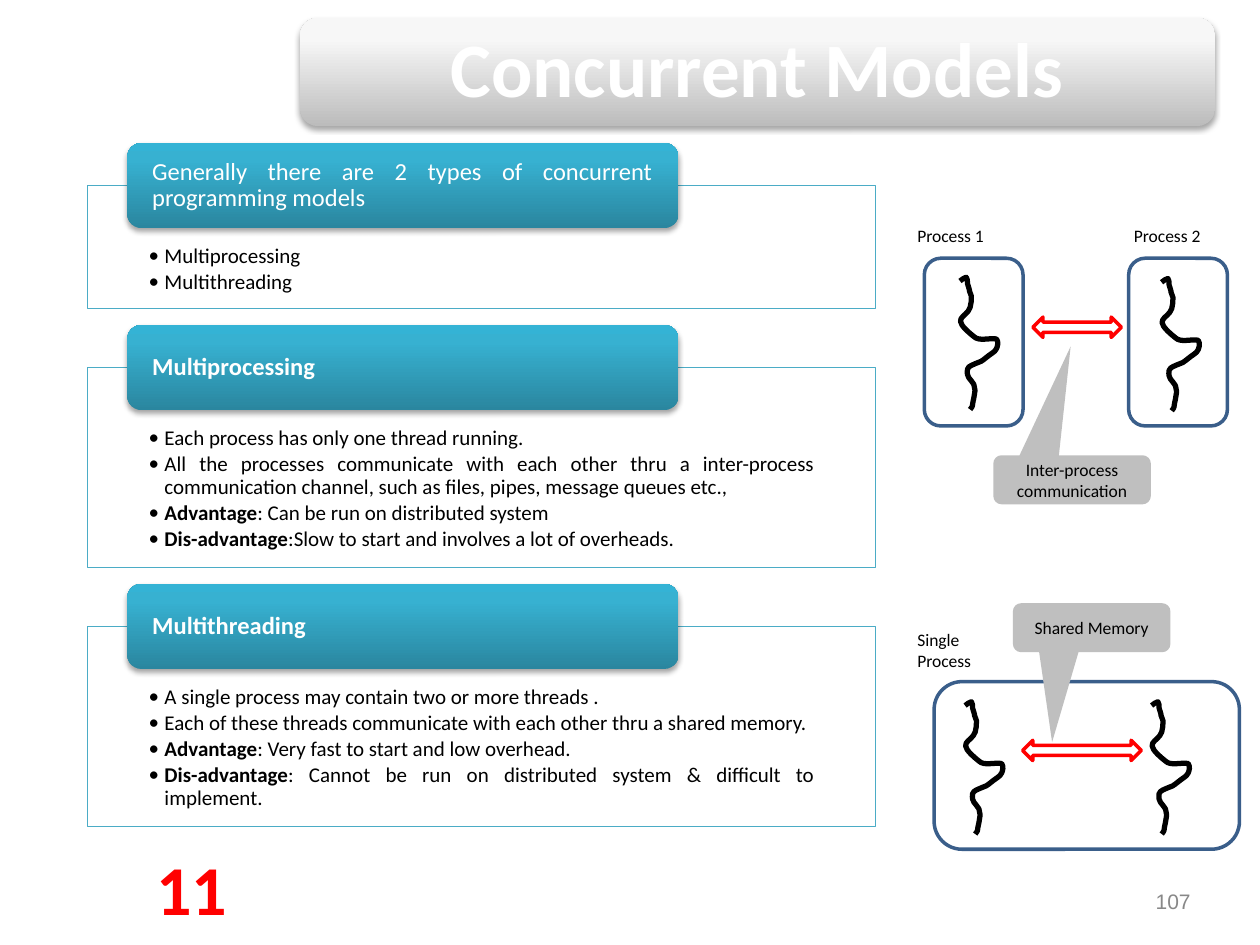
from copy import deepcopy
from dataclasses import dataclass

from lxml.etree import SubElement
from pptx import Presentation
from pptx.dml.color import RGBColor
from pptx.enum.shapes import MSO_SHAPE as Shape
from pptx.enum.text import MSO_ANCHOR as Anchor, PP_ALIGN as Align
from pptx.oxml.ns import qn
from pptx.util import Pt

TEAL = ("2A869F", "37B1D1", "34B3D5")
SILVER = ("BCBCBC", "F7F7F7", "F8F8F8")
STOPS = (0, 0.8, 1)
PANEL_GAP = 33.6
THREAD_CURVES = (
    (1.4, -0.7, 2.2, -2.2, 3.6, -2.2), (4.3, -1.4, 4.3, 0, 4.3, 1.4),
    (7.2, 10.8, 3.6, 0.7, 6.5, 8.6), (6.5, 10.8, 6.5, 13, 5.8, 15.1),
    (3.6, 21.6, -6.5, 20.2, 7.9, 31.7), (10.8, 34.6, 16.6, 32.4, 20.9, 33.1),
    (20.9, 33.8, 22.3, 35.3, 21.6, 36), (20.9, 40.3, 19.4, 40.3, 16.6, 42.5),
    (10.1, 47.5, 14.4, 44.6, 6.5, 48.2), (5.8, 49, 4.3, 49, 4.3, 50.4),
    (3.6, 55.4, 5.8, 55.4, 7.9, 59), (7.9, 59.8, 8.6, 61.2, 8.6, 62.6),
    (8.6, 64.1, 7.9, 65.5, 7.9, 67), (6.5, 72.7, 7.9, 70.6, 5.8, 73.4),
)


@dataclass
class Area:
    left: float
    top: float
    width: float
    height: float

    def lengths(self):
        return [Pt(v) for v in (self.left, self.top, self.width, self.height)]


@dataclass
class Style:
    size: float
    color: str = "000000"
    bold: bool = False
    align: Align = Align.LEFT
    spacing: float = 1.0
    font: str = "Calibri"


@dataclass
class Panel:
    heading: str
    bold: bool
    height: float
    bullets: list[tuple[str, str]]


def rgb(code: str) -> RGBColor:
    return RGBColor.from_string(code)


def style_paragraph(para, style: Style) -> None:
    para.alignment = style.align
    para.line_spacing = style.spacing
    font = para.font
    font.name, font.size, font.bold = style.font, Pt(style.size), style.bold
    font.color.rgb = rgb(style.color)


def add_frame(page, area: Area, inset: float, anchor: Anchor):
    frame = page.shapes.add_textbox(*area.lengths()).text_frame
    frame.word_wrap, frame.vertical_anchor = True, anchor
    frame.margin_left = frame.margin_right = Pt(inset)
    frame.margin_top = frame.margin_bottom = Pt(inset)
    return frame


def add_label(page, area: Area, text: str, style: Style,
              anchor: Anchor = Anchor.TOP, inset: float = 3.6) -> None:
    para = add_frame(page, area, inset, anchor).paragraphs[0]
    para.add_run().text = text
    style_paragraph(para, style)


def paint(shape, fill: str | None, line: str | None, width: float) -> None:
    shape.shadow.inherit = False
    if fill:
        shape.fill.solid()
        shape.fill.fore_color.rgb = rgb(fill)
    else:
        shape.fill.background()
    if line:
        shape.line.color.rgb, shape.line.width = rgb(line), Pt(width)
    else:
        shape.line.fill.background()


def add_shape(page, kind: Shape, area: Area, fill: str | None = None,
              line: str | None = None, width: float = 2):
    shape = page.shapes.add_shape(kind, *area.lengths())
    paint(shape, fill, line, width)
    return shape


def add_glossy(page, area: Area, colors: tuple[str, ...]) -> None:
    shape = add_shape(page, Shape.ROUNDED_RECTANGLE, area)
    shape.fill.gradient()
    shape.fill.gradient_angle = 90
    properties = shape._element.spPr
    stop_list = properties.find(".//" + qn("a:gsLst"))
    stop_list.append(deepcopy(stop_list[0]))
    for stop, color, position in zip(shape.fill.gradient_stops, colors, STOPS):
        stop.color.rgb, stop.position = rgb(color), position
    shadow = SubElement(properties.find(qn("a:effectLst")), qn("a:outerShdw"),
                        blurRad=str(Pt(3)), dist=str(Pt(1.8)), dir="5400000", rotWithShape="0")
    black = SubElement(shadow, qn("a:srgbClr"), val="000000")
    SubElement(black, qn("a:alpha"), val="35000")


def add_bullets(page, area: Area, bullets: list[tuple[str, str]]) -> None:
    frame = add_frame(page, area, 6.5, Anchor.TOP)
    for index, (lead, rest) in enumerate(bullets):
        para = frame.add_paragraph() if index else frame.paragraphs[0]
        properties = para._p.get_or_add_pPr()
        properties.set("marL", str(Pt(9)))
        properties.set("indent", str(Pt(-9)))
        SubElement(properties, qn("a:buFont"), typeface="Calibri")
        SubElement(properties, qn("a:buChar"), char="•")
        if index:
            para.space_before = Pt(1.8)
        if lead:
            span = para.add_run()
            span.text, span.font.bold = lead, True
        para.add_run().text = rest
        style_paragraph(para, Style(12, align=Align.JUSTIFY, spacing=0.9))


def add_panel(page, panel: Panel, top: float) -> None:
    add_shape(page, Shape.RECTANGLE, Area(50.2, top, 450, panel.height), "FFFFFF", "4BACC6", 0.75)
    add_bullets(page, Area(78.5, top + 28, 393.6, panel.height - 28), panel.bullets)
    add_glossy(page, Area(72.7, top - 24.3, 315, 48.7), TEAL)
    text_height = 16 if panel.bold else 32
    add_label(page, Area(87, top - text_height / 2, 286, text_height), panel.heading,
              Style(14, "FFFFFF", panel.bold, Align.JUSTIFY, 0.9), Anchor.MIDDLE, 0)


def add_outline(page, left: float, top: float, start: tuple, segments: tuple, closed: bool):
    placed = [[(Pt(left + x), Pt(top + y)) for x, y in zip(seg[::2], seg[1::2])]
              for seg in segments]
    builder = page.shapes.build_freeform(Pt(left + start[0]), Pt(top + start[1]))
    builder.add_line_segments([points[-1] for points in placed], close=closed)
    shape = builder.convert_to_shape()
    edges = shape._element.spPr.findall(".//" + qn("a:lnTo"))
    for edge, points in zip(edges, placed):
        if len(points) == 3:
            edge.tag = qn("a:cubicBezTo")
            for position, (x, y) in enumerate(points[:2]):
                control = deepcopy(edge[-1])
                control.set("x", str(x - shape.left))
                control.set("y", str(y - shape.top))
                edge.insert(position, control)
    return shape


def add_thread(page, left: float, top: float) -> None:
    paint(add_outline(page, left, top, (0, 0), THREAD_CURVES, False), None, "000000", 3)


def add_callout(page, area: Area, text: str, tip: tuple[float, float]) -> None:
    w, h, r, c = area.width, area.height, 4.7, 2.1
    upper = ((15, 0), tip, (37.5, 0)) if tip[1] < 0 else ()
    lower = () if upper else ((37.5, h), tip, (15, h))
    segments = (
        (0, c, c, 0, r, 0), *upper, (w - r, 0),
        (w - c, 0, w, c, w, r), (w, h - r),
        (w, h - c, w - c, h, w - r, h), *lower, (r, h),
        (c, h, 0, h - c, 0, h - r), (0, r),
    )
    shape = add_outline(page, area.left, area.top, (0, r), segments, True)
    paint(shape, "BFBFBF", None, 0)
    add_label(page, Area(area.left + 5, area.top, w - 10, h), text,
              Style(10, align=Align.CENTER), Anchor.MIDDLE)


def add_process(page, area: Area) -> None:
    add_shape(page, Shape.ROUNDED_RECTANGLE, area, line="3A5E8A")


def add_exchange(page, area: Area) -> None:
    add_shape(page, Shape.LEFT_RIGHT_ARROW, area, "FFFFFF", "FF0000")


def main() -> None:
    """Build the slide on concurrent programming models."""
    deck = Presentation()
    deck.slide_width, deck.slide_height = Pt(720), Pt(540)
    page = deck.slides.add_slide(deck.slide_layouts[6])
    add_glossy(page, Area(171.4, 10.1, 523, 62), SILVER)
    add_label(page, Area(174.2, 6, 517, 70.6), "Concurrent Models",
              Style(44, "FFFFFF", True, Align.CENTER, 0.9), Anchor.MIDDLE, 13)

    top = 106
    for panel in (
        Panel("Generally there are 2 types of concurrent programming models", False, 70.4,
              [("", "Multiprocessing"), ("", "Multithreading")]),
        Panel("Multiprocessing", True, 114.3, [
            ("", "Each process has only one thread running."),
            ("", "All the processes communicate with each other thru a inter-process "
                 "communication channel, such as files, pipes, message queues etc.,"),
            ("Advantage", ": Can be run on distributed system"),
            ("Dis-advantage", ":Slow to start and involves a lot of overheads.")]),
        Panel("Multithreading", True, 114.3, [
            ("", "A single process may contain two or more threads ."),
            ("", "Each of these threads communicate with each other thru a shared memory."),
            ("Advantage", ": Very fast to start and low overhead."),
            ("Dis-advantage", ": Cannot be run on distributed system & difficult to implement.")]),
    ):
        add_panel(page, panel, top)
        top += panel.height + PANEL_GAP

    for left in (528.2, 645):
        add_process(page, Area(left, 147.6, 56.4, 95.8))
    for left, start in ((548.6, 160.6), (663.8, 161.3)):
        add_thread(page, left, start)
    add_exchange(page, Area(590.2, 181.2, 50.6, 11.6))
    add_callout(page, Area(567.6, 260.2, 90, 28), "Inter-process communication", (44.2, -62.2))
    add_process(page, Area(533.8, 389.5, 174.5, 95.8))
    for left in (551.5, 658.1):
        add_thread(page, left, 403.2)
    add_exchange(page, Area(584.4, 423, 67.8, 11.6))
    add_callout(page, Area(578.8, 344.7, 90, 28), "Shared Memory", (22.4, 79.4))

    for text, area in (("Process 1", Area(520.6, 125.3, 54.7, 18)),
                       ("Process 2", Area(644.4, 125.3, 54.7, 18)),
                       ("Single Process", Area(520.6, 355.7, 54.7, 31))):
        add_label(page, area, text, Style(10))
    add_label(page, Area(85, 479.5, 49, 47.5), "11", Style(40, "FF0000", True, Align.CENTER))
    add_label(page, Area(654, 505.4, 30, 19.4), "107",
              Style(12, "888888", align=Align.RIGHT, font="Arial"), Anchor.MIDDLE)
    deck.save("out.pptx")


if __name__ == "__main__":
    main()
